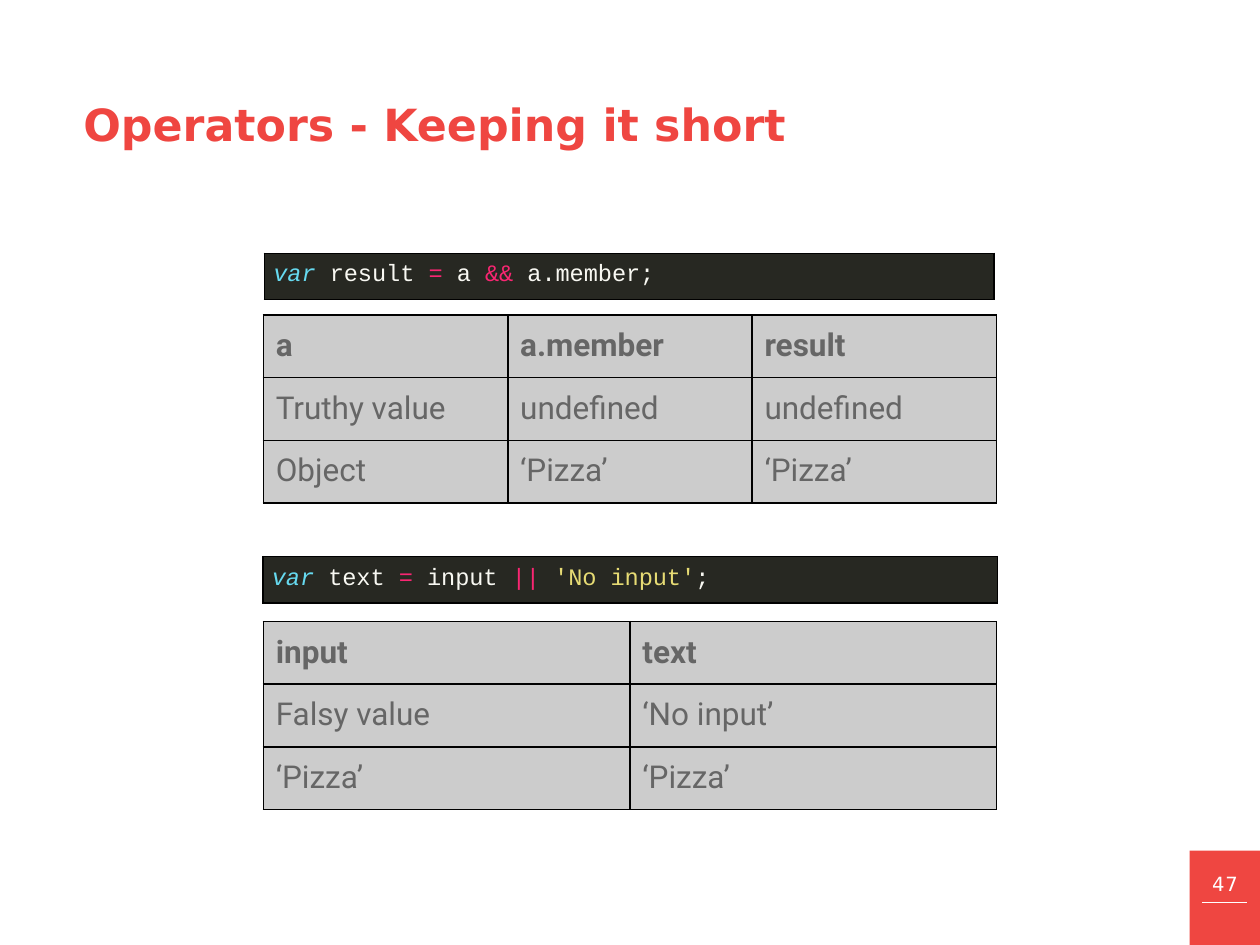
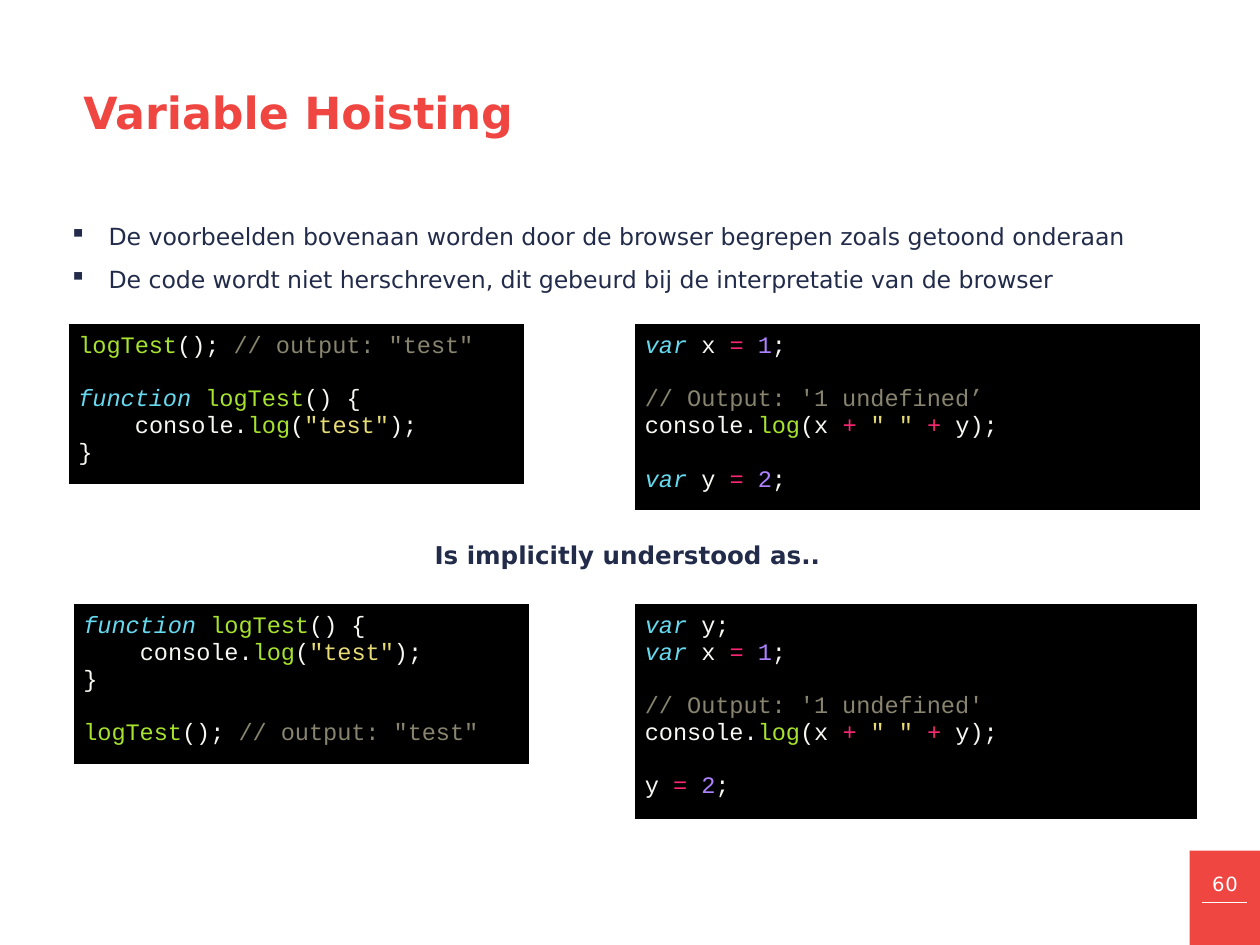
from lxml.etree import SubElement
from pptx import Presentation
from pptx.dml.color import RGBColor
from pptx.enum.shapes import MSO_CONNECTOR as Connector, MSO_SHAPE as Shape
from pptx.enum.text import MSO_ANCHOR as Anchor, MSO_AUTO_SIZE as AutoSize, PP_ALIGN as Align
from pptx.oxml.ns import qn
from pptx.util import Cm, Pt

RED = RGBColor(0xEF, 0x46, 0x41)
NAVY = RGBColor(0x22, 0x2C, 0x4A)
WHITE = RGBColor(0xFF, 0xFF, 0xFF)
BLACK = RGBColor(0x00, 0x00, 0x00)
CHARCOAL = RGBColor(0x27, 0x28, 0x22)
SILVER = RGBColor(0xCC, 0xCC, 0xCC)
GREY = RGBColor(0x66, 0x66, 0x66)

# Syntax colours
PLAIN = RGBColor(0xF8, 0xF8, 0xF2)
KEYWORD = RGBColor(0x66, 0xD9, 0xEF)
OPERATOR = RGBColor(0xF9, 0x26, 0x72)
STRING = RGBColor(0xE6, 0xDB, 0x74)
NAME = RGBColor(0xA6, 0xE2, 0x2E)
NUMBER = RGBColor(0xAE, 0x81, 0xFF)
COMMENT = RGBColor(0x88, 0x84, 0x6F)

SANS, MONO, CELL_FONT = "DejaVu Sans", "Courier New", "Roboto"
CODE_SIZE = 13.5
CODE_LINE = 0.54  # height of one code line, cm
CODE_INDENT = 1.14  # four monospaced characters, cm
CODE_INSET = 0.18
TEXT_INSET = 0.25
GAP = None  # an empty line in a code listing


def add_span(para, text, font=SANS, size=CODE_SIZE, color=NAVY, bold=False,
             italic=False, spacing=None):
    span = para.add_run()
    span.text = text
    span.font.name, span.font.size = font, Pt(size)
    span.font.bold, span.font.italic = bold, italic
    span.font.color.rgb = color
    if spacing:
        span.font._element.set("spc", str(round(spacing * 100)))


def set_insets(target, left, top, right, bottom):
    target.margin_left, target.margin_top = Cm(left), Cm(top)
    target.margin_right, target.margin_bottom = Cm(right), Cm(bottom)


def set_indent(para, left, first=0):
    props = para._p.get_or_add_pPr()
    props.set("marL", str(Cm(left)))
    props.set("indent", str(Cm(first)))
    return props


def style_cell(cell, fill, inset):
    set_insets(cell, *[inset] * 4)
    props = cell._tc.get_or_add_tcPr()
    for side in ("lnL", "lnR", "lnT", "lnB"):
        line = SubElement(props, qn(f"a:{side}"), w=str(Pt(1)))
        paint = SubElement(line, qn("a:solidFill"))
        SubElement(paint, qn("a:srgbClr"), val=str(BLACK))
    cell.fill.solid()
    cell.fill.fore_color.rgb = fill


class Deck:
    def __init__(self):
        self.file = Presentation()
        self.file.slide_width, self.file.slide_height = Cm(25.4), Cm(19.05)
        self.page = None

    def add_page(self, title, number, anchor):
        self.page = self.file.slides.add_slide(self.file.slide_layouts[5])
        self.add_corner(number)
        box = self.page.shapes.title
        box.left, box.top, box.width, box.height = Cm(1.4), Cm(1.93), Cm(19.38), Cm(1.12)
        frame = box.text_frame
        frame.word_wrap, frame.auto_size = True, AutoSize.NONE
        frame.vertical_anchor = anchor
        set_insets(frame, *[TEXT_INSET] * 4)
        para = frame.paragraphs[0]
        para.alignment, para.space_before = Align.LEFT, Pt(0.6)
        set_indent(para, 0.03)
        add_span(para, title, size=25.3, color=RED, bold=True)

    def add_corner(self, number):
        """Red block with the page number and a rule under it."""
        shapes = self.page.shapes
        block = shapes.add_shape(Shape.RECTANGLE, Cm(23.98), Cm(17.15), Cm(1.42), Cm(1.9))
        block.shadow.inherit = False
        block.fill.solid()
        block.fill.fore_color.rgb = RED
        block.line.fill.background()
        frame = self.add_box(24.16, 17.53, 1.07, 0.58, (0, 0.05, 0, 0))
        para = frame.paragraphs[0]
        para.alignment, para.space_before = Align.CENTER, Pt(1.1)
        add_span(para, str(number), size=11.2, color=WHITE, spacing=0.6)
        rule = shapes.add_connector(Connector.STRAIGHT, Cm(24.23), Cm(18.19), Cm(25.13), Cm(18.19))
        rule.line.color.rgb, rule.line.width = WHITE, Pt(0.5)
        SubElement(rule._element.spPr, qn("a:effectLst"))

    def add_box(self, left, top, width, height, insets):
        box = self.page.shapes.add_textbox(Cm(left), Cm(top), Cm(width), Cm(height))
        frame = box.text_frame
        frame.word_wrap = True
        set_insets(frame, *insets)
        return frame

    def add_bullets(self, left, top, width, height, items):
        frame = self.add_box(left, top, width, height, (0, 0.3, 0, 0))
        for index, item in enumerate(items):
            para = frame.add_paragraph() if index else frame.paragraphs[0]
            para.line_spacing = 1.1
            para.space_before = para.space_after = Pt(3.5)
            SubElement(set_indent(para, 0.79, -0.79), qn("a:buChar"), char="▪")
            add_span(para, item)

    def add_caption(self, left, top, width, height, text):
        frame = self.add_box(left, top, width, height, [TEXT_INSET] * 4)
        para = frame.paragraphs[0]
        para.alignment, para.line_spacing = Align.CENTER, 1.1
        para.space_before, para.space_after = Pt(3.5), Pt(16)
        add_span(para, text, size=14, bold=True)

    def add_grid(self, left, top, width, height, rows, columns):
        """Table of equal cells without a banded style."""
        table = self.page.shapes.add_table(
            rows, columns, Cm(left), Cm(top), Cm(width), Cm(height)).table
        table.first_row = table.horz_banding = False
        return table

    def add_truth_table(self, left, top, width, rows):
        table = self.add_grid(left, top, width, 1.25 * len(rows), len(rows), len(rows[0]))
        for r, row in enumerate(rows):
            for c, text in enumerate(row):
                cell = table.cell(r, c)
                style_cell(cell, SILVER, TEXT_INSET)
                add_span(cell.text_frame.paragraphs[0], text, font=CELL_FONT,
                         size=18, color=GREY, bold=r == 0)

    def add_code(self, left, top, width, lines, fill=BLACK):
        """Each line is a list of (text, colour); leading tabs become indents."""
        height = CODE_LINE * len(lines) + 2 * CODE_INSET
        cell = self.add_grid(left, top, width, height, 1, 1).cell(0, 0)
        style_cell(cell, fill, CODE_INSET)
        frame = cell.text_frame
        for index, line in enumerate(lines):
            if line is GAP:
                continue
            para = frame.add_paragraph() if index else frame.paragraphs[0]
            if index and lines[index - 1] is GAP:
                para.space_before = Cm(CODE_LINE)
            if line[0][0].startswith("\t"):
                set_indent(para, CODE_INDENT)
            for text, color in line:
                add_span(para, text.lstrip("\t"), font=MONO, color=color,
                         italic=color == KEYWORD)


def assign(name, number, declared=True):
    start = [("var", KEYWORD), (f" {name} ", PLAIN)] if declared else [(f"{name} ", PLAIN)]
    return start + [("= ", OPERATOR), (number, NUMBER), (";", PLAIN)]


CALL_TEST = [("logTest", NAME), ("(); ", PLAIN), ('// output: "test"', COMMENT)]
DEFINE_TEST = [
    [("function ", KEYWORD), ("logTest", NAME), ("() {", PLAIN)],
    [("\tconsole.", PLAIN), ("log", NAME), ("(", PLAIN), ('"test"', STRING), (");", PLAIN)],
    [("}", PLAIN)],
]
LOG_SUM = [("console.", PLAIN), ("log", NAME), ("(x ", PLAIN), ("+ ", OPERATOR),
           ('" " ', STRING), ("+", OPERATOR), (" y);", PLAIN)]


def add_operators_page(deck):
    deck.add_page("Operators - Keeping it short", 47, Anchor.MIDDLE)
    deck.add_code(5.33, 5.11, 14.71, [[
        ("var", KEYWORD), (" result ", PLAIN), ("=", OPERATOR), (" a ", PLAIN),
        ("&& ", OPERATOR), ("a.member;", PLAIN)]], fill=CHARCOAL)
    deck.add_code(5.3, 11.22, 14.81, [[
        ("var ", KEYWORD), ("text ", PLAIN), ("=", OPERATOR), (" input ", PLAIN),
        ("|| ", OPERATOR), ("'No input'", STRING), (";", PLAIN)]], fill=CHARCOAL)
    deck.add_truth_table(5.31, 12.53, 14.78, [
        ("input", "text"),
        ("Falsy value", "‘No input’"),
        ("‘Pizza’", "‘Pizza’")])
    deck.add_truth_table(5.31, 6.35, 14.78, [
        ("a", "a.member", "result"),
        ("Truthy value", "undefined", "undefined"),
        ("Object", "‘Pizza’", "‘Pizza’")])


def add_hoisting_page(deck):
    deck.add_page("Variable Hoisting", 60, Anchor.BOTTOM)
    deck.add_caption(1.5, 10.57, 22.3, 3.63, "Is implicitly understood as..")
    deck.add_bullets(1.4, 4.11, 21.9, 12.09, [
        "De voorbeelden bovenaan worden door de browser begrepen zoals getoond onderaan",
        "De code wordt niet herschreven, dit gebeurd bij de interpretatie van de browser"])
    written, understood = 6.55, 12.2
    deck.add_code(1.4, written, 9.14, [CALL_TEST, GAP, *DEFINE_TEST])
    deck.add_code(1.5, understood, 9.14, [*DEFINE_TEST, GAP, CALL_TEST])
    deck.add_code(12.82, written, 11.35, [
        assign("x", "1"), GAP, [("// Output: '1 undefined’", COMMENT)], LOG_SUM,
        GAP, assign("y", "2")])
    deck.add_code(12.82, understood, 11.3, [
        [("var", KEYWORD), (" y;", PLAIN)], assign("x", "1"), GAP,
        [("// Output: '1 undefined'", COMMENT)], LOG_SUM,
        GAP, assign("y", "2", declared=False)])


def main():
    deck = Deck()
    add_operators_page(deck)
    add_hoisting_page(deck)
    deck.file.save("out.pptx")


if __name__ == "__main__":
    main()
